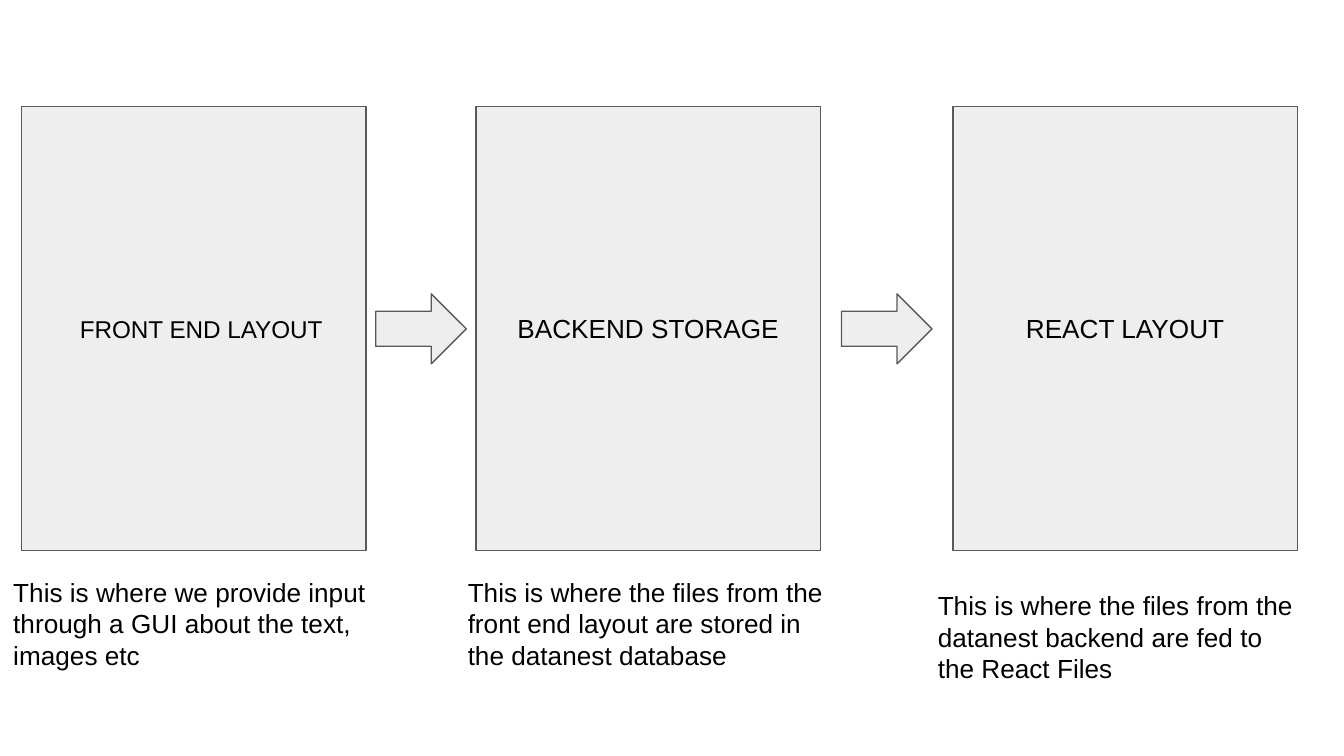
from pptx import Presentation
from pptx.dml.color import RGBColor
from pptx.enum.shapes import MSO_SHAPE
from pptx.enum.text import MSO_ANCHOR, MSO_AUTO_SIZE, PP_ALIGN
from pptx.util import Pt


class Theme:
    font = "Arial"
    text = RGBColor(0x00, 0x00, 0x00)
    fill = RGBColor(0xEE, 0xEE, 0xEE)
    outline = RGBColor(0x59, 0x59, 0x59)
    line_width = Pt(0.75)
    body_size = 14
    small_size = 13
    inset = 7.2


def add_panel(slide, preset, left, top, width, height):
    panel = slide.shapes.add_shape(preset, Pt(left), Pt(top), Pt(width), Pt(height))
    panel.shadow.inherit = False
    panel.fill.solid()
    panel.fill.fore_color.rgb = Theme.fill
    panel.line.color.rgb = Theme.outline
    panel.line.width = Theme.line_width
    return panel


def write_text(frame, text, size, align, left_inset=Theme.inset):
    frame.word_wrap = True
    frame.margin_left = Pt(left_inset)
    frame.margin_right = frame.margin_top = frame.margin_bottom = Pt(Theme.inset)
    paragraph = frame.paragraphs[0]
    paragraph.text = text
    paragraph.alignment = align
    paragraph.font.name = Theme.font
    paragraph.font.size = Pt(size)
    paragraph.font.color.rgb = Theme.text


prs = Presentation()
prs.slide_width, prs.slide_height = Pt(720), Pt(405)
slide = prs.slides.add_slide(prs.slide_layouts[6])

# Stage: left, label, label size, label left inset, caption left, caption top, caption
stages = [
    (11.5, "FRONT END LAYOUT", Theme.small_size, 15, 0, 301.5,
     "This is where we provide input through a GUI about the text, images etc"),
    (255, "BACKEND STORAGE", Theme.body_size, Theme.inset, 243.5, 301.5,
     "This is where the files from the front end layout are stored in "
     "the datanest database"),
    (510.5, "REACT LAYOUT", Theme.body_size, Theme.inset, 495.3, 308.7,
     "This is where the files from the datanest backend are fed to the React Files"),
]

for left, label, label_size, label_inset, caption_left, caption_top, caption in stages:
    stage = add_panel(slide, MSO_SHAPE.RECTANGLE, left, 57, 184.5, 238)
    stage.text_frame.vertical_anchor = MSO_ANCHOR.MIDDLE
    write_text(stage.text_frame, label, label_size, PP_ALIGN.CENTER, label_inset)

    description = slide.shapes.add_textbox(
        Pt(caption_left), Pt(caption_top), Pt(207.4), Pt(65.5))
    write_text(description.text_frame, caption, Theme.body_size, PP_ALIGN.LEFT)
    description.text_frame.auto_size = MSO_AUTO_SIZE.SHAPE_TO_FIT_TEXT

for arrow_left in (201.3, 450.8):
    add_panel(slide, MSO_SHAPE.RIGHT_ARROW, arrow_left, 157.4, 48.5, 37.5)

prs.save("out.pptx")
